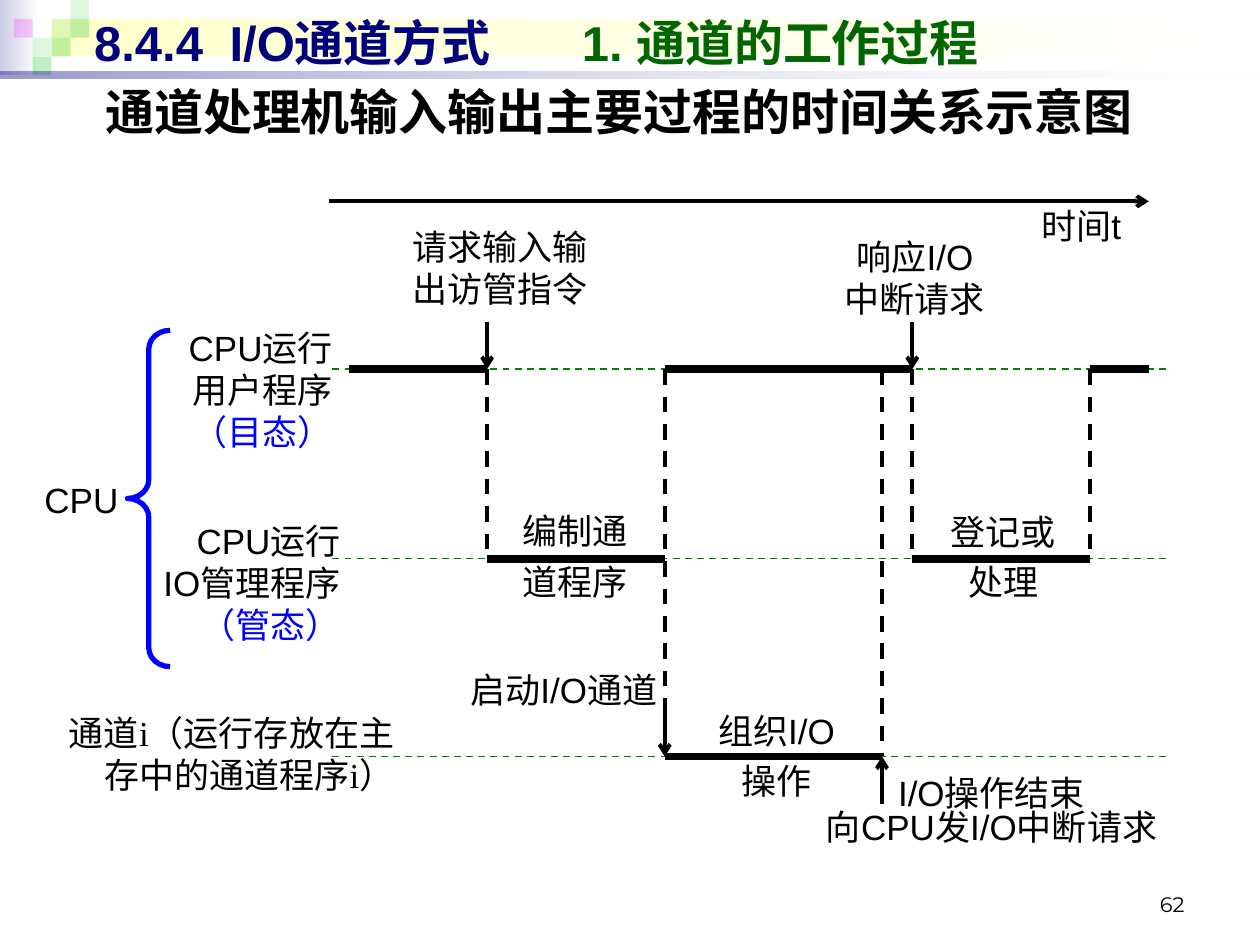
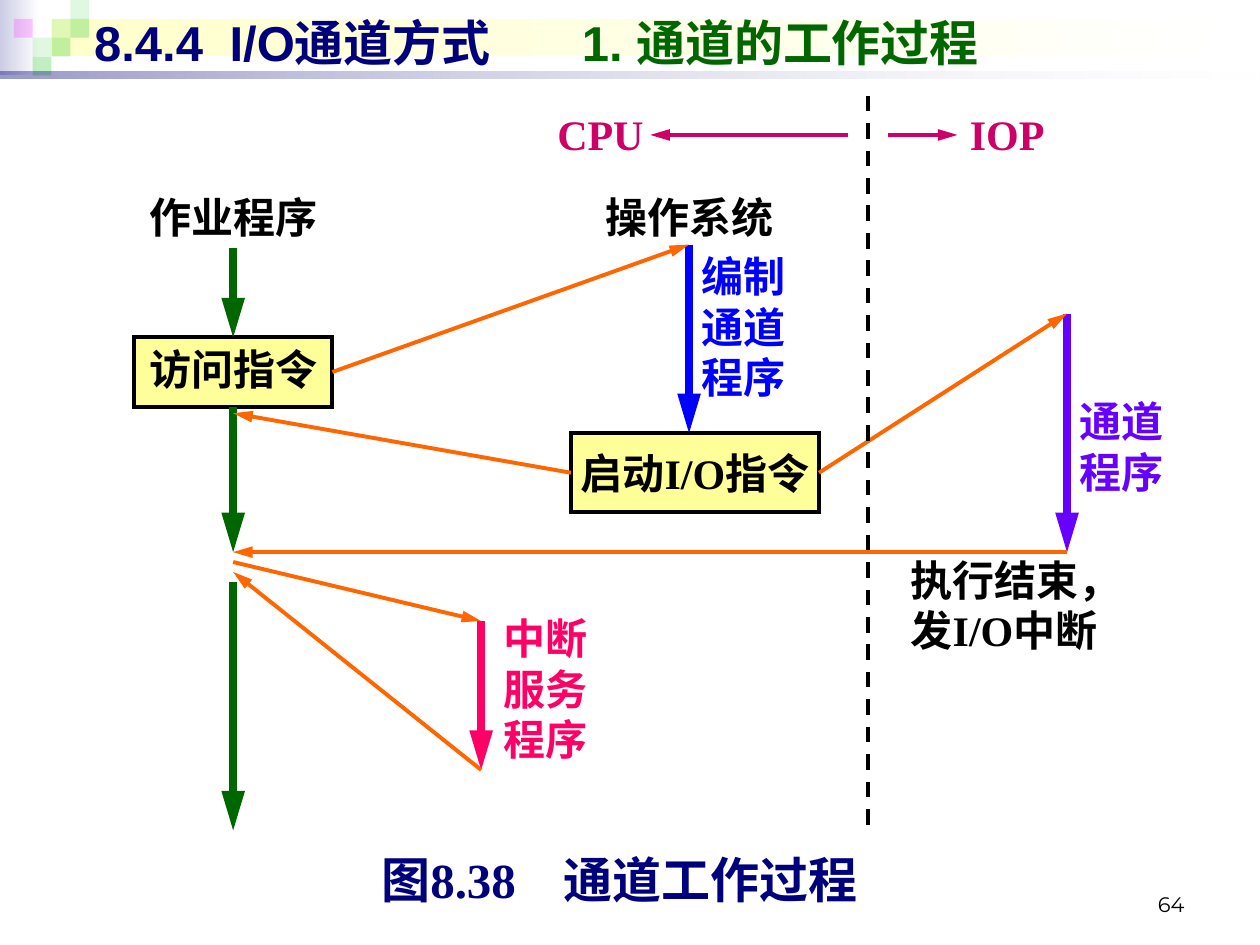
from lxml.etree import SubElement
from pptx import Presentation
from pptx.dml.color import RGBColor
from pptx.enum.dml import MSO_LINE
from pptx.enum.shapes import MSO_CONNECTOR, MSO_SHAPE
from pptx.enum.text import MSO_ANCHOR, PP_ALIGN
from pptx.oxml.ns import qn
from pptx.util import Cm, Pt

HUE = {
    "black": "000000", "white": "FFFFFF", "navy": "00007D", "green": "006600",
    "guide": "008000", "blue": "0000FF", "orange": "FF6600", "violet": "6600FF",
    "pink": "FF0066", "rose": "CC0066", "yellow": "FFFF99", "cream": "FFFFCC",
    "mist": "CCCCE6", "leaf": "33CC33", "magenta": "FF00FF",
}
RGB = {name: RGBColor.from_string(code) for name, code in HUE.items()}
SERIF = "Times New Roman"
SIDE = {"left": PP_ALIGN.LEFT, "mid": PP_ALIGN.CENTER, "right": PP_ALIGN.RIGHT}
LEVEL = {"top": MSO_ANCHOR.TOP, "mid": MSO_ANCHOR.MIDDLE, "low": MSO_ANCHOR.BOTTOM}


def text(slide, at, words, size=20, hue="black", font="Arial", bold=False, side="mid",
         level="top", pad=(0.25, 0.13, 0.25, 0.13), wrap=True, lead=None, tabs=(), fill=None):
    """Add a text box, or a framed box if fill is given; words is a string or (string, hue) runs."""
    place = [Cm(n) for n in at]
    if fill:
        box = slide.shapes.add_shape(MSO_SHAPE.RECTANGLE, *place)
        box.shadow.inherit = False
        box.fill.solid()
        box.fill.fore_color.rgb = RGB[fill]
        box.line.color.rgb = RGB["black"]
        box.line.width = Pt(2.25)
        SubElement(box.line._get_or_add_ln(), qn("a:miter"), lim="800000")
    else:
        box = slide.shapes.add_textbox(*place)
    frame = box.text_frame
    frame.word_wrap = wrap
    frame.vertical_anchor = LEVEL[level]
    frame.margin_left, frame.margin_top, frame.margin_right, frame.margin_bottom = map(Cm, pad)
    para = frame.paragraphs[0]
    if tabs:
        stops = SubElement(para._p.get_or_add_pPr(), qn("a:tabLst"))
        for pos in tabs:
            SubElement(stops, qn("a:tab"), pos=str(Cm(pos)), algn="l")
    for part, tone in [(words, hue)] if isinstance(words, str) else words:
        for i, row in enumerate(part.split("\n")):
            if i:
                para = frame.add_paragraph()
            para.alignment = SIDE[side]
            if lead:
                para.line_spacing = lead
            if row:
                run = para.add_run()
                run.text = row
                run.font.size = Pt(size)
                run.font.name = font
                run.font.bold = bold
                run.font.color.rgb = RGB[tone]
    return box


def line(slide, start, end, hue="black", width=2.25, dash=False, tip=None, reach="med"):
    """Draw a straight line; an end is a point or a (box, side number) joint."""
    ends = [(0, 0) if hasattr(p[0], "shape_id") else p for p in (start, end)]
    link = slide.shapes.add_connector(
        MSO_CONNECTOR.STRAIGHT, *[Cm(n) for point in ends for n in point])
    if hasattr(start[0], "shape_id"):
        link.begin_connect(*start)
    if hasattr(end[0], "shape_id"):
        link.end_connect(*end)
    link.line.color.rgb = RGB[hue]
    link.line.width = Pt(width)
    if dash:
        link.line.dash_style = MSO_LINE.DASH
    if tip:
        SubElement(link.line._get_or_add_ln(), qn("a:tailEnd"), type=tip, len=reach)
    SubElement(link._element.spPr, qn("a:effectLst"))


deck = Presentation()
deck.slide_width, deck.slide_height = Cm(25.4), Cm(19.05)

# Shared band, title and page number
UNIT = 0.38
BAND = [
    ((0, 0, 0.79, 1.52), ("mist", 100), ("white", 100)),
    ((1.04, UNIT, 24.26, 0.76), ("cream", 100), ("white", 100)),
]
TILES = [(2, 1, "leaf", 15), (3, 0, "leaf", 15), (3, 1, "leaf", 30), (1, 2, "leaf", 15),
         (0, 1, "magenta", 20), (2, 2, "leaf", 30), (1, 3, "leaf", 30)]
BAND += [((0.28 + col * UNIT, row * UNIT, UNIT, UNIT), (hue, alpha))
         for col, row, hue, alpha in TILES]
BAND.append(((0, 1.45, 25.4, 0.13), ("navy", 40), ("white", 10)))

slides = []
for page in ("62", "64"):
    slide = deck.slides.add_slide(deck.slide_layouts[6])
    slides.append(slide)
    for at, *tones in BAND:
        tile = slide.shapes.add_shape(MSO_SHAPE.RECTANGLE, *[Cm(n) for n in at])
        tile.shadow.inherit = False
        if len(tones) == 2:
            tile.fill.gradient()
            tile.fill.gradient_angle = 0
            for stop, (hue, _) in zip(tile.fill.gradient_stops, tones):
                stop.color.rgb = RGB[hue]
        else:
            tile.fill.solid()
            tile.fill.fore_color.rgb = RGB[tones[0][0]]
        tile.line.fill.background()
        for tint, (_, alpha) in zip(tile._element.spPr.iter(qn("a:srgbClr")), tones):
            if alpha < 100:
                SubElement(tint, qn("a:alpha"), val=str(alpha * 1000))
    text(slide, (18.21, 17.35, 5.92, 1.27), page, size=12, font="Montserrat",
         side="right", level="low")
    text(slide, (1.65, 0.13, 22.86, 1.45),
         [("8.4.4\tI/O通道方式\t", "navy"), ("1. 通道的工作过程", "green")],
         size=28, bold=True, side="left", level="mid", tabs=(2.73, 9.83))

# Slide 1: timing diagram
chart, flow = slides
text(chart, (0.86, 1.52, 23.24, 1.6), "通道处理机输入输出主要过程的时间关系示意图",
     size=28, font=SERIF, bold=True)

USER, ADMIN, CHAN = 7.44, 11.26, 15.25
CALL, START, DONE, REPLY, BACK, LAST = 9.82, 13.4, 17.78, 18.39, 21.97, 23.16
for y in (USER, ADMIN, CHAN):
    line(chart, (6.7, y), (23.5, y), "guide", 1, dash=True)
line(chart, (6.63, 4.06), (LAST, 4.06), tip="arrow")
for y, left, right in [(USER, 7.04, CALL), (ADMIN, CALL, START), (USER, START, REPLY),
                       (CHAN, START, DONE), (ADMIN, REPLY, BACK), (USER, BACK, LAST)]:
    line(chart, (left, y), (right, y), width=4.5)
for x, low in [(CALL, ADMIN), (START, 14.68), (DONE, CHAN), (REPLY, ADMIN), (BACK, ADMIN)]:
    line(chart, (x, USER), (x, low), dash=True)
for x, tail, head in [(CALL, 6.5, USER), (REPLY, 6.5, USER),
                      (START, 14.33, CHAN), (DONE, 16.2, CHAN)]:
    line(chart, (x, tail), (x, head), tip="arrow")

tight = dict(pad=(0.2, 0.1, 0.1, 0), wrap=False)
for at, words, lead in [
    ((9.94, 9.83, 3.2, 2.49), "编制通\n道程序", 1.2),
    ((13.61, 13.87, 3.99, 2.46), "组织I/O\n操作", 1.2),
    ((18.39, 9.86, 3.58, 2.46), "登记或\n处理", 1.2),
    ((7.24, 4.2, 5.59, 2.29), "请求输入输\n出访管指令", None),
    ((16.21, 4.39, 4.37, 2.29), "响应I/O\n中断请求", None),
    ((8.33, 13.26, 5.97, 1.35), "启动I/O通道", 0.8),
    ((15.68, 15.37, 8.52, 1.96), "I/O操作结束\n向CPU发I/O中断请求", 0.8),
    ((20.35, 4.09, 2.79, 0.97), "时间t", 0.8),
]:
    text(chart, at, words, level="mid", lead=lead, **tight)
for at, words, font in [
    ((3.23, 6.48, 3.58, 2.79), [("CPU运行\n用户程序\n", "black"), ("（目态）", "blue")], "Arial"),
    ((2.3, 10.38, 4.67, 2.77), [("CPU运行\nIO管理程序\n", "black"), ("（管态）", "blue")], "Arial"),
    ((0.3, 14.25, 7.75, 1.98), "通道i（运行存放在主\n存中的通道程序i）", SERIF),
    ((0.3, 9.55, 2.19, 1.04), "CPU", "Arial"),
]:
    text(chart, at, words, font=font, side="right", **tight)

brace = chart.shapes.add_shape(MSO_SHAPE.LEFT_BRACE, Cm(2.57), Cm(6.66), Cm(0.86), Cm(6.78))
brace.shadow.inherit = False
brace.adjustments[0], brace.adjustments[1] = 0.44, 0.5
brace.fill.background()
brace.line.color.rgb = RGB["blue"]
brace.line.width = Pt(3)

# Slide 2: flow between processor and channel
bold = dict(size=24, font=SERIF, bold=True)
text(flow, (6.71, 17.12, 11.61, 1.4), "图8.38\t通道工作过程", hue="navy", size=28, font=SERIF,
     bold=True, side="left", lead=0.9, pad=(0.98, 0.13, 0, 0.13), tabs=(3.67,))
visit = text(flow, (2.7, 6.8, 4, 1.4), "访问指令", fill="yellow", wrap=False, **bold)
launch = text(flow, (11.51, 8.73, 5, 1.6), "启动I/O指令", fill="yellow", wrap=False,
              level="mid", **bold)

JOB, SERVE, SYS, IOP, END = 4.7, 9.7, 13.89, 21.51, 11.13
for start, end, hue in [
    ((JOB, 5), (visit, 0), "green"),
    ((visit, 2), (JOB, END), "green"),
    ((JOB, 11.73), (JOB, 16.74), "green"),
    ((SERVE, 12.52), (SERVE, 15.52), "pink"),
    ((SYS, 4.93), (SYS, 8.73), "blue"),
    ((IOP, 6.32), (IOP, END), "violet"),
]:
    line(flow, start, end, hue, 4.5, tip="triangle", reach="lg")
for start, end, hue in [
    ((visit, 3), (SYS, 4.93), "orange"),
    ((launch, 1), (JOB, 8.33), "orange"),
    ((launch, 3), (IOP, 6.32), "orange"),
    ((IOP, END), (JOB, END), "orange"),
    ((JOB, 11.33), (SERVE, 12.52), "orange"),
    ((SERVE, 15.52), (JOB, 11.53), "orange"),
    ((17.09, 2.72), (13.11, 2.72), "rose"),
    ((17.91, 2.72), (19.3, 2.72), "rose"),
]:
    line(flow, start, end, hue, tip="triangle", reach="lg")
line(flow, (17.5, 1.93), (17.5, 16.74), dash=True)

for at, words, hue, side in [
    ((2.5, 3.73, 4.4, 1.27), "作业程序", "black", "mid"),
    ((11.7, 3.73, 4.4, 1.27), "操作系统", "black", "mid"),
    ((10.9, 2.06, 2.41, 1.27), "CPU", "rose", "mid"),
    ((19.1, 2.06, 2.41, 1.27), "IOP", "rose", "mid"),
    ((SYS, 4.93, 2.39, 3.3), "编制通道程序", "blue", "left"),
    ((IOP, 7.85, 2.39, 2.29), "通道程序", "violet", "left"),
    ((9.91, 12.22, 2.39, 3.3), "中断服务程序", "pink", "left"),
    ((18.11, 11.05, 5, 2.29), "执行结束，\n发I/O中断", "black", "left"),
]:
    text(flow, at, words, hue=hue, side=side, **bold)

deck.save("out.pptx")
